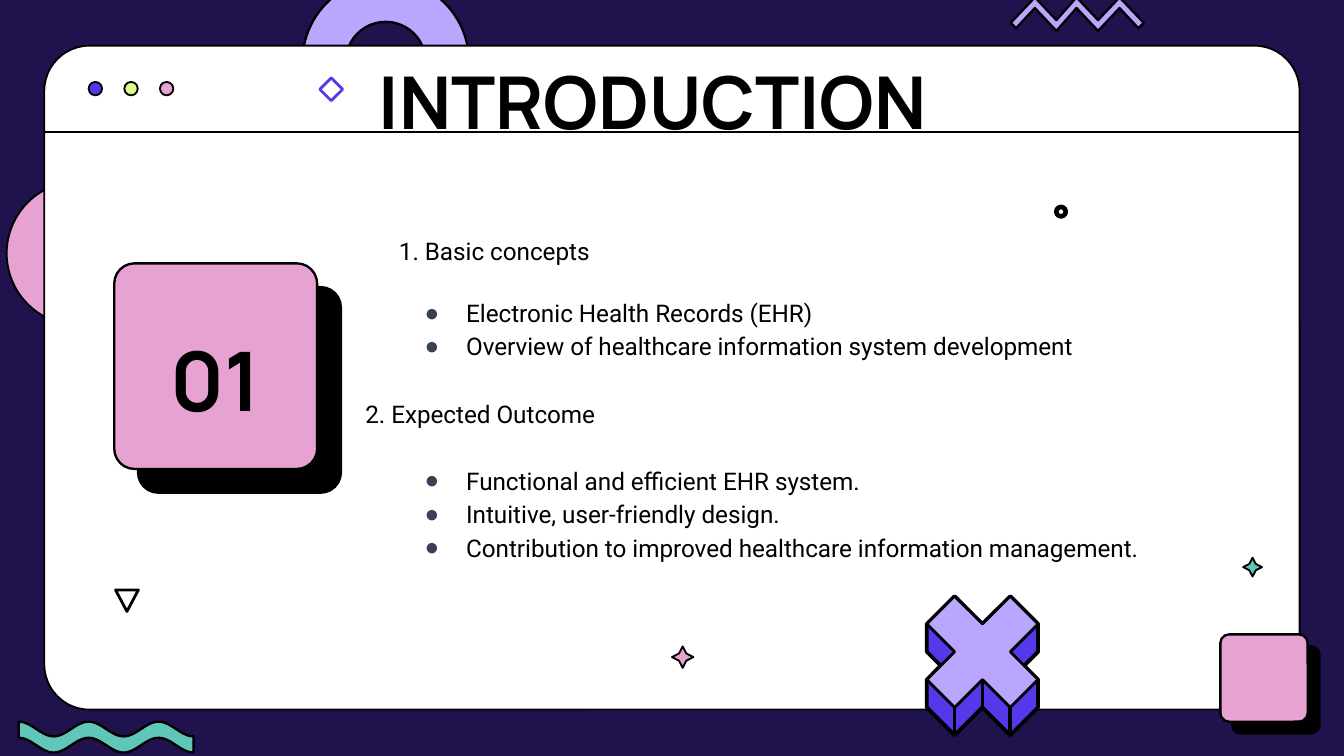
from math import cos, pi

from lxml.etree import SubElement
from pptx import Presentation
from pptx.dml.color import RGBColor
from pptx.enum.shapes import MSO_CONNECTOR, MSO_SHAPE
from pptx.enum.text import MSO_ANCHOR, PP_ALIGN
from pptx.oxml.ns import qn
from pptx.util import Inches, Pt

NAVY = RGBColor(0x20, 0x12, 0x4D)
BLACK = RGBColor(0x00, 0x00, 0x00)
WHITE = RGBColor(0xFF, 0xFF, 0xFF)
LILAC = RGBColor(0xBA, 0xA5, 0xFF)
PINK = RGBColor(0xE6, 0xA2, 0xD0)
VIOLET = RGBColor(0x53, 0x39, 0xEA)
LIME = RGBColor(0xDB, 0xFE, 0x87)
TEAL = RGBColor(0x60, 0xC7, 0xB8)
SLATE = RGBColor(0x37, 0x41, 0x51)

# Text, bulleted, left margin in inches, space before in points
OUTLINE = [
    ("1. Basic concepts", False, 0.5, 0),
    ("Electronic Health Records (EHR)", True, 1, 15),
    ("Overview of healthcare information system development", True, 1, 0),
    ("2. Expected Outcome", False, 0.25, 18),
    ("Functional and efficient EHR system.", True, 1, 18),
    ("Intuitive, user-friendly design.", True, 1, 0),
    ("Contribution to improved healthcare information management.", True, 1, 0),
]


def paint(shape, fill, line=BLACK, width=1):
    shape.shadow.inherit = False
    if fill is None:
        shape.fill.background()
    else:
        shape.fill.solid()
        shape.fill.fore_color.rgb = fill
    shape.line.color.rgb = line
    shape.line.width = Pt(width)


def add_preset(page, kind, bounds, fill, line=BLACK, width=1, adjustments=()):
    shape = page.shapes.add_shape(kind, *map(Inches, bounds))
    for index, value in enumerate(adjustments):
        shape.adjustments[index] = value
    paint(shape, fill, line, width)
    return shape


def add_polygon(page, points, fill, width):
    corners = [(Inches(x), Inches(y)) for x, y in points]
    builder = page.shapes.build_freeform(*corners[0])
    builder.add_line_segments(corners[1:], close=True)
    paint(builder.convert_to_shape(), fill, width=width)


def add_line(page, start, end, width):
    line = page.shapes.add_connector(
        MSO_CONNECTOR.STRAIGHT, *map(Inches, start + end))
    line.line.color.rgb = BLACK
    line.line.width = Pt(width)
    SubElement(line._element.spPr, qn("a:effectLst"))


def add_tile(page, bounds, shadow_distance):
    """Add a pink rounded square with a hard shadow to the lower right."""
    tile = add_preset(page, MSO_SHAPE.ROUNDED_RECTANGLE, bounds, PINK,
                      width=1.25, adjustments=[0.1])
    effects = tile._element.spPr.find(qn("a:effectLst"))
    shadow = SubElement(effects, qn("a:outerShdw"), blurRad="0",
                        dist=str(Pt(shadow_distance)), dir="2700000",
                        algn="bl", rotWithShape="0")
    SubElement(shadow, qn("a:srgbClr"), val=str(BLACK))


def add_text_box(page, bounds, anchor):
    frame = page.shapes.add_textbox(*map(Inches, bounds)).text_frame
    frame.word_wrap = True
    frame.vertical_anchor = anchor
    return frame


def format_runs(para, font, size, bold=False):
    for span in para.runs:
        span.font.name = font
        span.font.size = Pt(size)
        span.font.bold = bold
        span.font.color.rgb = BLACK


def add_heading(page, text, bounds, size, anchor, alignment):
    frame = add_text_box(page, bounds, anchor)
    frame.text = text
    para = frame.paragraphs[0]
    para.alignment = alignment
    para.line_spacing = 0.9
    format_runs(para, "Manrope", size, bold=True)


def set_indent(para, margin, bulleted):
    properties = para._p.get_or_add_pPr()
    properties.set("marL", str(Inches(margin)))
    properties.set("indent", str(Inches(-0.31 if bulleted else 0)))
    if bulleted:
        colour = SubElement(properties, qn("a:buClr"))
        SubElement(colour, qn("a:srgbClr"), val=str(SLATE))
        SubElement(properties, qn("a:buFont"), typeface="Arial")
        SubElement(properties, qn("a:buChar"), char="●")


def add_outline(page):
    frame = add_text_box(page, (2.37, 1.68, 6.55, 2.6), MSO_ANCHOR.TOP)
    for index, (text, bulleted, margin, before) in enumerate(OUTLINE):
        para = frame.add_paragraph() if index else frame.paragraphs[0]
        para.text = text
        set_indent(para, margin, bulleted)
        para.line_spacing = 1.15
        para.space_before = Pt(before)
        format_runs(para, "Roboto", 13)


def add_window(page):
    add_preset(page, MSO_SHAPE.BLOCK_ARC, (2.25, -0.16, 1.24, 1.24), LILAC,
               width=1.25, adjustments=[108, 0, 0.26])
    add_preset(page, MSO_SHAPE.OVAL, (0.05, 1.35, 1.07, 1.07), PINK)
    add_preset(page, MSO_SHAPE.ROUNDED_RECTANGLE, (0.33, 0.34, 9.34, 4.94),
               WHITE, adjustments=[0.068])
    add_line(page, (0.33, 0.98), (9.67, 0.98), 1)
    for index, colour in enumerate((VIOLET, LIME, PINK)):
        add_preset(page, MSO_SHAPE.OVAL,
                   (0.66 + 0.265 * index, 0.61, 0.1, 0.1), colour)


def add_small_ornaments(page):
    for bounds, colour in (((5, 4.81, 0.16, 0.16), PINK),
                           ((9.25, 4.15, 0.14, 0.14), TEAL)):
        add_preset(page, MSO_SHAPE.STAR_4_POINT, bounds, colour,
                   adjustments=[0.24])
    add_preset(page, MSO_SHAPE.FLOWCHART_MERGE, (0.86, 4.39, 0.17, 0.16),
               None, width=1.5)
    add_preset(page, MSO_SHAPE.DIAMOND, (2.38, 0.58, 0.17, 0.17), None,
               VIOLET, 1.5)
    add_preset(page, MSO_SHAPE.OVAL, (7.86, 1.54, 0.07, 0.07), None, width=2.5)


def add_block_cross(page):
    """Add an extruded cross laid out on a grid of square steps."""
    def place(column, row):
        return 7.31 + 0.207 * column, 4.85 + 0.207 * row

    right_side = [(0, -1), (1, -2), (2, -1), (2, 0), (1.5, 0.5), (2, 1),
                  (2, 2), (1, 3), (0, 2)]
    right_face = [(0, -1), (1, -2), (2, -1), (1, 0), (2, 1), (1, 2), (0, 1)]
    for half, colour, width in ((right_side, VIOLET, 2),
                                (right_face, LILAC, 1.5)):
        left = [(-column, row) for column, row in half[-2:0:-1]]
        add_polygon(page, [place(*point) for point in half + left],
                    colour, width)
    for column, row in ((-1, 2), (0, 1), (1, 2)):
        add_line(page, place(column, row), place(column, row + 1), 2)


def add_wave(page):
    steps = 50
    length, periods = 1.3, 2.5
    upper = [(0.14 + length * step / steps,
              5.425 - 0.055 * cos(2 * pi * periods * step / steps))
             for step in range(steps + 1)]
    lower = [(x, y + 0.12) for x, y in reversed(upper)]
    add_polygon(page, upper + lower, TEAL, 1.25)


def add_zigzag(page):
    upper = [(7.52, 0.17), (7.7, -0.02), (7.86, 0.15), (8.01, -0.02),
             (8.17, 0.15), (8.33, -0.02), (8.51, 0.17)]
    lower = [(8.47, 0.21), (8.33, 0.06), (8.17, 0.23), (8.01, 0.06),
             (7.86, 0.23), (7.7, 0.06), (7.56, 0.21)]
    add_polygon(page, upper + lower, LILAC, 1.25)


def main():
    deck = Presentation()
    deck.slide_width, deck.slide_height = Inches(10), Inches(5.625)
    page = deck.slides.add_slide(deck.slide_layouts[6])
    page.background.fill.solid()
    page.background.fill.fore_color.rgb = NAVY

    add_window(page)
    add_tile(page, (0.85, 1.96, 1.51, 1.53), 18)
    add_heading(page, "INTRODUCTION", (2.72, 0.48, 6.28, 0.65), 39,
                MSO_ANCHOR.BOTTOM, PP_ALIGN.LEFT)
    add_outline(page)
    add_heading(page, "01", (0.85, 2.47, 1.51, 0.79), 44,
                MSO_ANCHOR.MIDDLE, PP_ALIGN.CENTER)
    add_small_ornaments(page)
    add_block_cross(page)
    add_tile(page, (9.08, 4.72, 0.65, 0.65), 9)
    add_wave(page)
    add_zigzag(page)
    deck.save("out.pptx")


if __name__ == "__main__":
    main()
